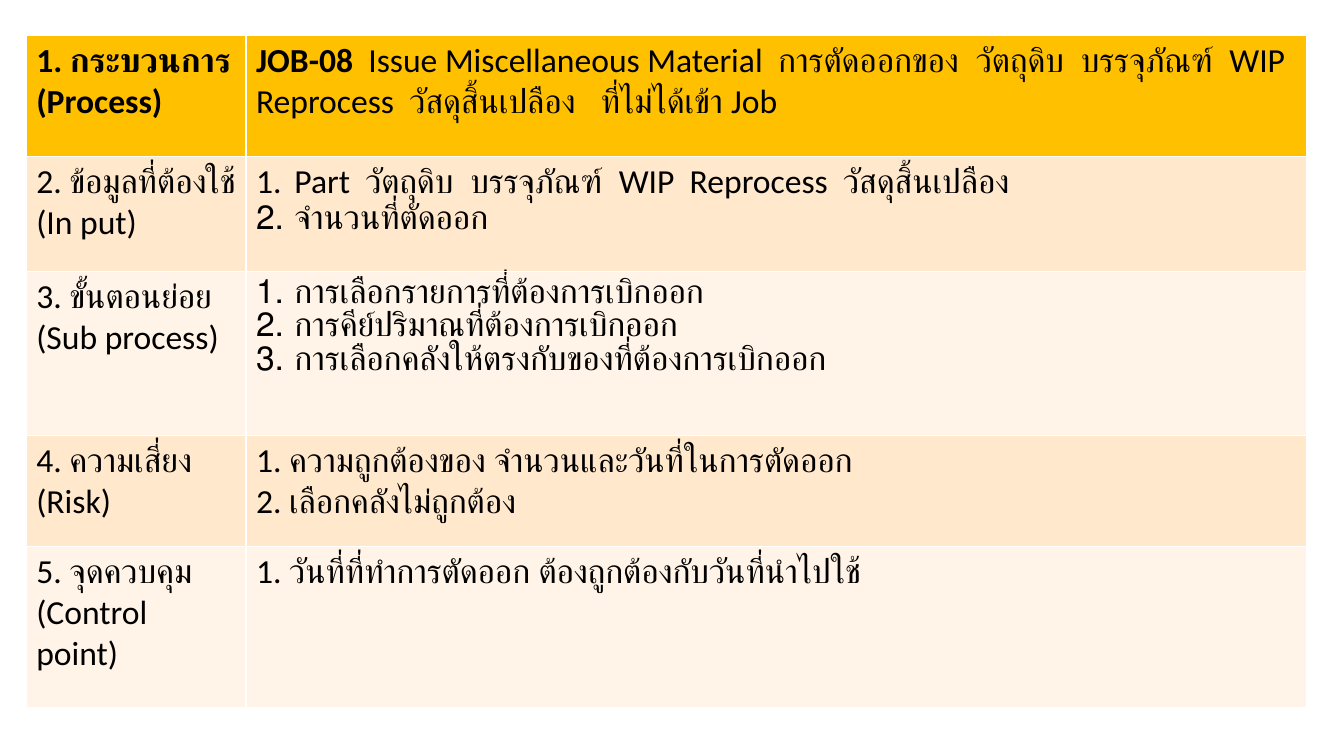
import pptx
import pptx.dml.color
import pptx.util
from lxml import etree
from pptx.oxml.ns import qn
from pptx.util import Inches

COLORS = {"header": "FFC000", "odd": "FFE8CC", "even": "FFF4E7", "text": "000000"}
FONT = {"name": "Calibri", "size": pptx.util.Pt(24)}
COLUMN_WIDTHS = [2.18, 10.52]
ROW_HEIGHTS = [1.2, 1.14, 1.63, 1.1, 1.6]
NUMBERED_ROWS = {1, 2}
ROWS = [
    (
        [[("1. กระบวนการ (Process)", True)]],
        [[("JOB-08  ", True),
          ("Issue Miscellaneous Material  การตัดออกของ  วัตถุดิบ  บรรจุภัณฑ์  WIP  "
           "Reprocess  วัสดุสิ้นเปลือง   ที่ไม่ได้เข้า Job", False)]],
    ),
    (
        ["2. ข้อมูลที่ต้องใช้", "(In put)"],
        ["Part  วัตถุดิบ  บรรจุภัณฑ์  WIP  Reprocess  วัสดุสิ้นเปลือง", "จำนวนที่ตัดออก"],
    ),
    (
        ["3. ขั้นตอนย่อย", "(Sub process)"],
        ["การเลือกรายการที่ต้องการเบิกออก", "การคีย์ปริมาณที่ต้องการเบิกออก",
         "การเลือกคลังให้ตรงกับของที่ต้องการเบิกออก"],
    ),
    (
        ["4. ความเสี่ยง", "(Risk)"],
        ["1. ความถูกต้องของ จำนวนและวันที่ในการตัดออก", "2. เลือกคลังไม่ถูกต้อง"],
    ),
    (
        ["5. จุดควบคุม", "(Control point)"],
        ["1. วันที่ที่ทำการตัดออก ต้องถูกต้องกับวันที่นำไปใช้"],
    ),
]


def rgb(name):
    """Return the named colour."""
    return pptx.dml.color.RGBColor.from_string(COLORS[name])


def number_paragraph(p):
    """Give a paragraph an automatic number and a hanging indent."""
    pPr = p._p.get_or_add_pPr()
    pPr.set("marL", str(Inches(0.38)))
    pPr.set("indent", str(-Inches(0.38)))
    etree.SubElement(pPr, qn("a:buAutoNum"), type="arabicPeriod")


def fill_cell(cell, paragraphs, fill, numbered):
    """Colour a cell and write its paragraphs."""
    cell.fill.solid()
    cell.fill.fore_color.rgb = rgb(fill)
    tf = cell.text_frame
    for i, runs in enumerate(paragraphs):
        p = tf.add_paragraph() if i else tf.paragraphs[0]
        if numbered:
            number_paragraph(p)
        for text, bold in [(runs, False)] if isinstance(runs, str) else runs:
            r = p.add_run()
            r.text = text
            for key, value in {**FONT, "bold": bold}.items():
                setattr(r.font, key, value)
            r.font.color.rgb = rgb("text")


def add_process_table(s, left, top):
    """Place the process table with its top left corner at the given point."""
    table = s.shapes.add_table(
        len(ROW_HEIGHTS), len(COLUMN_WIDTHS), Inches(left), Inches(top),
        Inches(sum(COLUMN_WIDTHS)), Inches(sum(ROW_HEIGHTS))).table
    for column, width in zip(table.columns, COLUMN_WIDTHS):
        column.width = Inches(width)
    for i, (height, cells) in enumerate(zip(ROW_HEIGHTS, ROWS)):
        table.rows[i].height = Inches(height)
        fill = "header" if i == 0 else ("even", "odd")[i % 2]
        for j, paragraphs in enumerate(cells):
            fill_cell(table.cell(i, j), paragraphs, fill, j == 1 and i in NUMBERED_ROWS)


def main():
    """Build and save the slide."""
    prs = pptx.Presentation()
    prs.slide_width, prs.slide_height = Inches(13.33), Inches(7.5)
    s = prs.slides.add_slide(prs.slide_layouts[6])
    add_process_table(s, 0.26, 0.35)
    prs.save("out.pptx")


if __name__ == "__main__":
    main()
